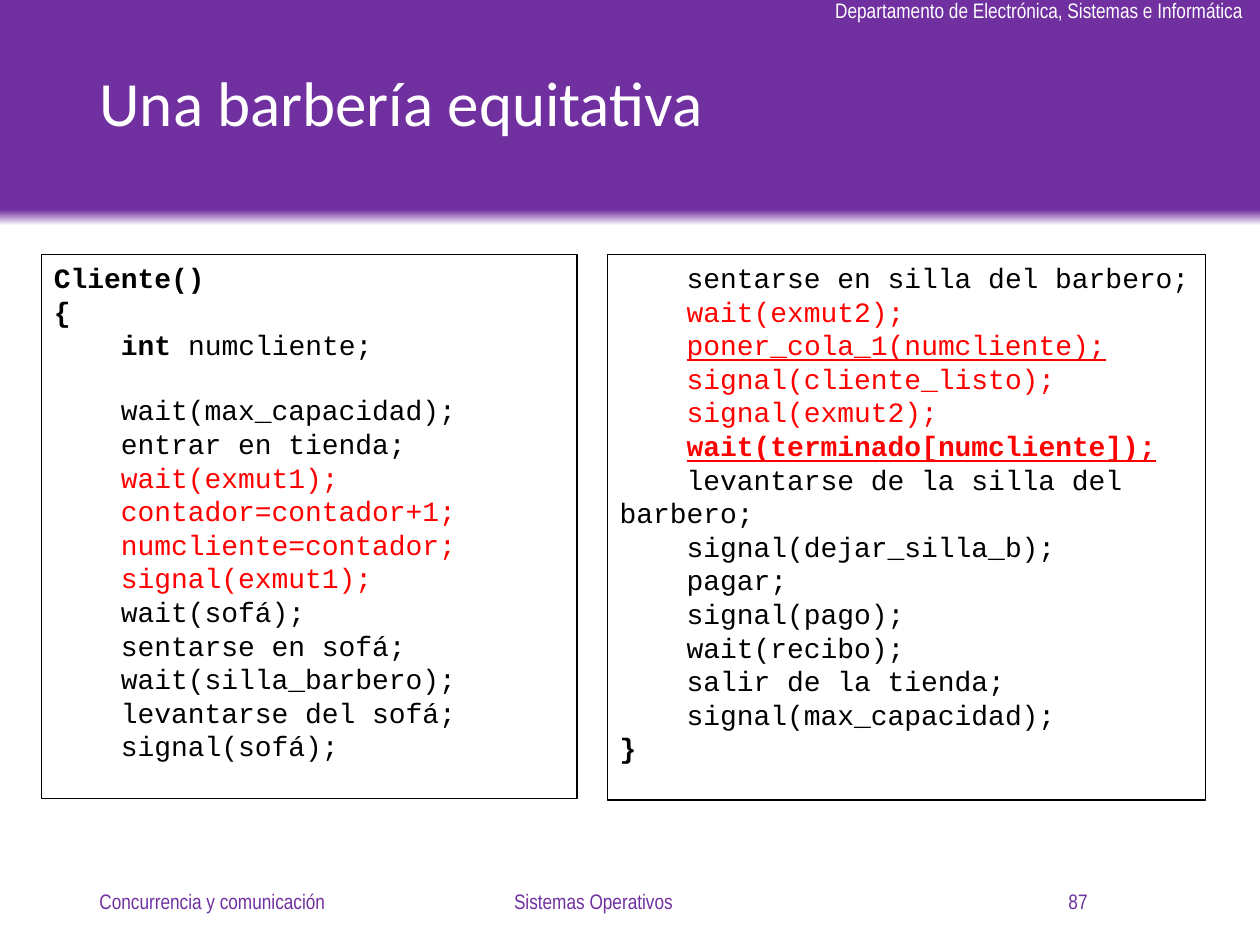
from pptx import Presentation
from pptx.dml.color import RGBColor
from pptx.enum.shapes import MSO_SHAPE
from pptx.enum.text import MSO_ANCHOR, PP_ALIGN
from pptx.util import Inches, Pt

COLORS = {
    "purple": "7030A0",
    "white": "FFFFFF",
    "black": "000000",
    "red": "FF0000",
}

CODE_STYLES = {
    "plain": ("black", False, False),
    "bold": ("black", True, False),
    "red": ("red", False, False),
    "underlined": ("red", False, True),
    "strong": ("red", True, True),
}

INDENT = "    "
BLANK_LINE = Pt(18)

ENTRY_CODE = [
    [("Cliente()", "bold")],
    [("{", "bold")],
    [(INDENT + "int ", "bold"), ("numcliente;", "plain")],
    [],
    [(INDENT + "wait(max_capacidad);", "plain")],
    [(INDENT + "entrar en tienda;", "plain")],
    [(INDENT + "wait(exmut1);", "red")],
    [(INDENT + "contador=contador+1;", "red")],
    [(INDENT + "numcliente=contador;", "red")],
    [(INDENT + "signal(exmut1);", "red")],
    [(INDENT + "wait(sofá);", "plain")],
    [(INDENT + "sentarse en sofá;", "plain")],
    [(INDENT + "wait(silla_barbero);", "plain")],
    [(INDENT + "levantarse del sofá;", "plain")],
    [(INDENT + "signal(sofá);", "plain")],
]

SERVICE_CODE = [
    [(INDENT + "sentarse en silla del barbero;", "plain")],
    [(INDENT + "wait(exmut2);", "red")],
    [(INDENT, "red"), ("poner_cola_1(numcliente);", "underlined")],
    [(INDENT + "signal(cliente_listo);", "red")],
    [(INDENT + "signal(exmut2);", "red")],
    [(INDENT, "plain"), ("wait(terminado[numcliente]);", "strong")],
    [(INDENT + "levantarse de la silla del barbero;", "plain")],
    [(INDENT + "signal(dejar_silla_b);", "plain")],
    [(INDENT + "pagar;", "plain")],
    [(INDENT + "signal(pago);", "plain")],
    [(INDENT + "wait(recibo);", "plain")],
    [(INDENT + "salir de la tienda;", "plain")],
    [(INDENT + "signal(max_capacidad);", "plain")],
    [("}", "bold")],
]


def rgb(name):
    return RGBColor.from_string(COLORS[name])


def add_run(paragraph, text, font_name, size, color, bold=False, underline=False):
    run = paragraph.add_run()
    run.text = text
    run.font.name = font_name
    run.font.size = Pt(size)
    run.font.color.rgb = rgb(color)
    run.font.bold = bold
    run.font.underline = underline


def add_label(slide, box, text, color, align, wrap=True, anchor=MSO_ANCHOR.MIDDLE):
    label = slide.shapes.add_textbox(*map(Inches, box))
    frame = label.text_frame
    frame.word_wrap = wrap
    frame.vertical_anchor = anchor
    paragraph = frame.paragraphs[0]
    paragraph.alignment = align
    add_run(paragraph, text, "Arial Narrow", 12, color)


def add_header(slide, box):
    left, top, width, height = box
    band = slide.shapes.add_shape(MSO_SHAPE.RECTANGLE, *map(Inches, box))
    band.shadow.inherit = False
    band.line.fill.background()
    band.fill.gradient()
    band.fill.gradient_angle = 90
    fade, solid = band.fill.gradient_stops
    fade.color.rgb, fade.position = rgb("white"), 0
    solid.color.rgb, solid.position = rgb("purple"), 0.07

    title = slide.shapes.title
    title.element.addprevious(band.element)
    title.left, title.top = Inches(left + 0.69), Inches(top + 0.15)
    title.width, title.height = Inches(width - 1.38), Inches(height - 0.4)
    title.text_frame.vertical_anchor = MSO_ANCHOR.MIDDLE
    heading = title.text_frame.paragraphs[0]
    heading.alignment = PP_ALIGN.LEFT
    heading.line_spacing = 0.9
    add_run(heading, "Una barbería equitativa", "Calibri", 36, "white")

    add_label(slide, (left + width - 3.47, top - 0.07, 3.48, 0.3),
              "Departamento de Electrónica, Sistemas e Informática",
              "white", PP_ALIGN.LEFT, wrap=False, anchor=MSO_ANCHOR.TOP)


def add_code_panel(slide, box, code):
    panel = slide.shapes.add_shape(MSO_SHAPE.RECTANGLE, *map(Inches, box))
    panel.shadow.inherit = False
    panel.fill.background()
    panel.line.color.rgb = rgb("black")
    panel.line.width = Pt(0.75)
    frame = panel.text_frame
    frame.word_wrap = True
    frame.vertical_anchor = MSO_ANCHOR.TOP
    paragraph = frame.paragraphs[0]
    gap = None
    for number, line in enumerate(code):
        if not line:
            gap = BLANK_LINE
            continue
        if number:
            paragraph = frame.add_paragraph()
        paragraph.alignment = PP_ALIGN.LEFT
        if gap:
            paragraph.space_before = gap
            gap = None
        for text, style in line:
            add_run(paragraph, text, "Courier New", 16, *CODE_STYLES[style])


def add_footer(slide, box):
    left, top, width, height = box
    side, center = 2.25, 3.38
    gap = (width - 2 * side - center) / 2
    parts = [
        ("Concurrencia y comunicación", side, PP_ALIGN.LEFT),
        ("Sistemas Operativos", center, PP_ALIGN.CENTER),
        ("87", side, PP_ALIGN.RIGHT),
    ]
    for text, part_width, align in parts:
        add_label(slide, (left, top, part_width, height), text, "purple", align)
        left += part_width + gap


def main():
    deck = Presentation()
    deck.slide_width, deck.slide_height = Inches(10), Inches(7.5)
    slide = deck.slides.add_slide(deck.slide_layouts[5])
    add_header(slide, (0, 0, 10, 1.79))
    add_footer(slide, (0.69, 6.95, 8.04, 0.4))
    add_code_panel(slide, (0.33, 2.02, 4.25, 4.32), ENTRY_CODE)
    add_code_panel(slide, (4.82, 2.02, 4.75, 4.33), SERVICE_CODE)
    deck.save("out.pptx")


if __name__ == "__main__":
    main()
